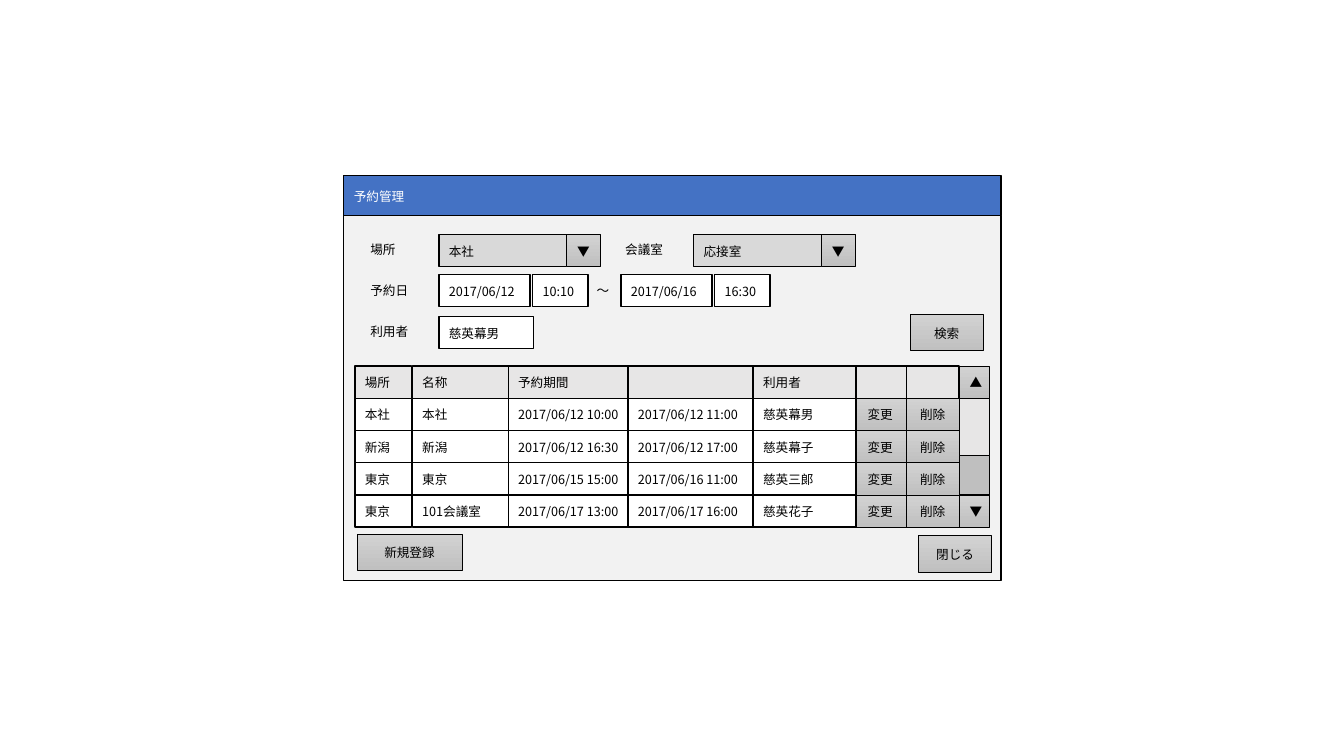
from lxml import etree
from pptx import Presentation
from pptx.dml.color import RGBColor
from pptx.enum.shapes import MSO_SHAPE
from pptx.enum.text import MSO_ANCHOR, MSO_AUTO_SIZE, PP_ALIGN
from pptx.oxml.ns import qn
from pptx.util import Pt

RECT = MSO_SHAPE.RECTANGLE
PROCESS = MSO_SHAPE.FLOWCHART_PROCESS
MIDDLE = MSO_ANCHOR.MIDDLE
NO_FIT = MSO_AUTO_SIZE.NONE
LEFT, CENTER = PP_ALIGN.LEFT, PP_ALIGN.CENTER

SANS = "Noto Sans CJK JP"
SERIF = "TeX Gyre Schola"
COLORS = {
    "bar": "4472C4", "panel": "F2F2F2", "field": "FFFFFF", "list": "D9D9D9",
    "head": "E7E6E6", "thumb": "BFBFBF", "light": "D2D2D2", "dark": "C0C0C0",
    "ink": "000000", "white": "FFFFFF",
}
ROW = 23
GRID_TOP = 261.5
BUTTON_COLS = [(647.5, 37.5, "削除"), (610, 37.5, "変更")]
DATA_COLS = [
    (253.5, 40.5, ["場所", "本社", "新潟", "東京", "東京"]),
    (294.5, 70, ["名称", "本社", "新潟", "東京", "101会議室"]),
    (363, 90.5, ["予約期間", "2017/06/12 10:00", "2017/06/12 16:30",
                 "2017/06/15 15:00", "2017/06/17 13:00"]),
    (448.5, 90.5, ["", "2017/06/12 11:00", "2017/06/12 17:00",
                   "2017/06/16 11:00", "2017/06/17 16:00"]),
    (538, 73.5, ["利用者", "慈英幕男", "慈英幕子", "慈英三郎", "慈英花子"]),
]


def rgb(name):
    return RGBColor.from_string(COLORS[name])


def write(shape, text, align=LEFT, color="ink", font=SANS, wrap=True):
    frame = shape.text_frame
    frame.auto_size = NO_FIT
    frame.word_wrap = wrap
    frame.vertical_anchor = MIDDLE
    frame.text = text
    para = frame.paragraphs[0]
    para.alignment = align
    para.line_spacing = 1.07
    para.font.size = Pt(9)
    para.font.name = font
    para.font.color.rgb = rgb(color)
    for props in shape._element.iter(qn("a:defRPr")):
        etree.SubElement(props, qn("a:ea"), typeface=SANS)


def place(shape, x, y, w, h):
    shape.left, shape.top, shape.width, shape.height = map(Pt, (x, y, w, h))


def paint(shape, fill, width=1):
    shape.fill.solid()
    shape.fill.fore_color.rgb = rgb(fill)
    shape.line.color.rgb = rgb("ink")
    shape.line.width = Pt(width)


def box(slide, x, y, w, h, fill="field", text=""):
    shape = slide.shapes.add_shape(RECT, Pt(x), Pt(y), Pt(w), Pt(h))
    shape.shadow.inherit = False
    paint(shape, fill)
    if text:
        write(shape, text)


def button(slide, x, y, w, h, text):
    shape = slide.shapes.add_shape(PROCESS, Pt(x), Pt(y), Pt(w), Pt(h))
    shape.shadow.inherit = False
    paint(shape, "light", 0.5)
    shape.fill.gradient()
    shape.fill.gradient_angle = 270
    for stop, name in zip(shape.fill.gradient_stops, ("light", "dark")):
        stop.color.rgb = rgb(name)
    write(shape, text, CENTER)


def label(slide, x, y, w, text):
    shape = slide.shapes.add_textbox(Pt(x), Pt(y), Pt(w), Pt(26))
    write(shape, text, font=SERIF, wrap=False)


def picker(slide, x, y, text):
    box(slide, x, y, 91.5, ROW, "list", text)
    button(slide, x + 91, y, 24.5, ROW, "▼")


def period(slide, x, y, day, time):
    box(slide, x, y, 65, ROW, text=day)
    box(slide, x + 67, y, 39.5, ROW, text=time)


def title_bar(slide, text):
    title = slide.shapes.title
    place(title, 245.5, 125.5, 469.5, 28.5)
    paint(title, "bar")
    write(title, text, color="white")


def search_form(slide):
    label(slide, 257.5, 164.5, 33, "場所")
    picker(slide, 313.5, 167.5, "本社")
    label(slide, 439.5, 164.5, 42, "会議室")
    picker(slide, 495.5, 167.5, "応接室")
    label(slide, 257.5, 194, 42, "予約日")
    period(slide, 313.5, 196, "2017/06/12", "10:10")
    label(slide, 419, 194, 24, "～")
    period(slide, 443.5, 196, "2017/06/16", "16:30")
    label(slide, 257.5, 223.5, 42, "利用者")
    box(slide, 313.5, 226, 67.5, ROW, text="慈英幕男")
    button(slide, 650, 224.5, 52.5, 26, "検索")


def grid(slide):
    for x, w, text in BUTTON_COLS:
        box(slide, x, GRID_TOP, w, ROW, "head")
        for row in range(1, 5):
            button(slide, x, GRID_TOP + row * ROW, w, ROW, text)
    for x, w, texts in DATA_COLS:
        for row, text in enumerate(texts):
            fill = "field" if row else "head"
            box(slide, x, GRID_TOP + row * ROW, w, ROW, fill, text)


def scroll_bar(slide, x, w):
    button(slide, x, GRID_TOP + 4 * ROW, w, ROW, "▼")
    box(slide, x, GRID_TOP + ROW, w, 3 * ROW, "thumb")
    button(slide, x, GRID_TOP, w, ROW, "▲")
    box(slide, x, GRID_TOP + ROW, w, 41, "head")


def main():
    deck = Presentation()
    deck.slide_width, deck.slide_height = Pt(960), Pt(540)
    slide = deck.slides.add_slide(deck.slide_layouts[5])
    title_bar(slide, "予約管理")
    box(slide, 245.5, 154, 469.5, 260.5, "panel")
    button(slide, 255, 381.5, 75, 26, "新規登録")
    button(slide, 656, 382.5, 52.5, 26, "閉じる")
    search_form(slide)
    grid(slide)
    scroll_bar(slide, 685.5, 21.5)
    deck.save("out.pptx")


if __name__ == "__main__":
    main()
